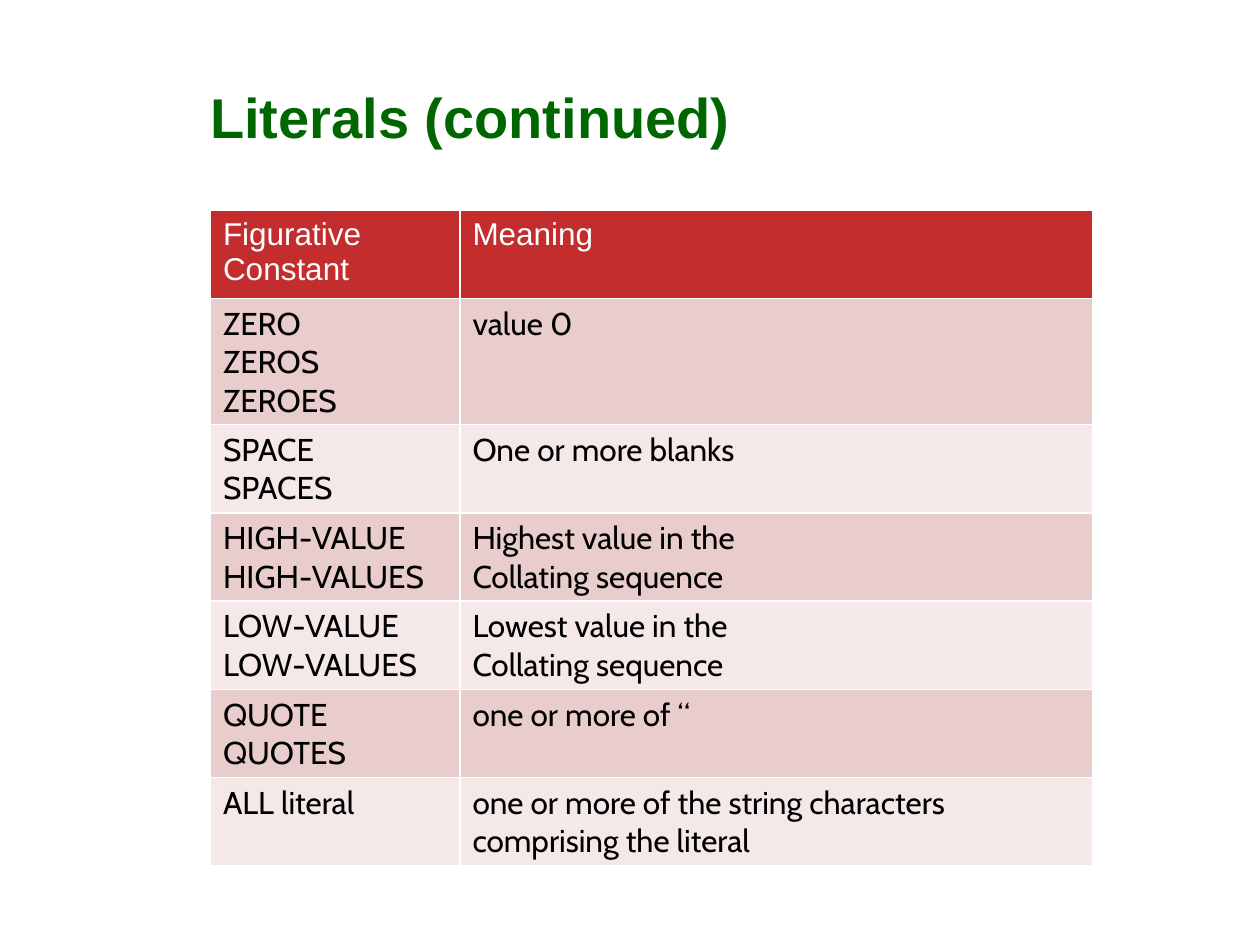
from pptx import Presentation
from pptx.dml.color import RGBColor
from pptx.enum.text import MSO_ANCHOR
from pptx.util import Inches, Pt

TITLE = "Literals (continued)"
ROWS = [
    ("Figurative Constant", "Meaning"),
    ("ZERO\nZEROS\nZEROES", "value 0"),
    ("SPACE\nSPACES", "One or more blanks"),
    ("HIGH-VALUE\nHIGH-VALUES", "Highest value in the\nCollating sequence"),
    ("LOW-VALUE\nLOW-VALUES", "Lowest value in the\nCollating sequence"),
    ("QUOTE\nQUOTES", "one or more of “"),
    ("ALL literal", "one or more of the string characters comprising the literal"),
]
COLUMN_WIDTHS = (1.98, 5.02)
ROW_HEIGHT, TALL_ROW_HEIGHT = 0.7, 1
HEADER_FILL = "C32D2E"
BAND_FILLS = ("F5E8E8", "E9CDCD")


def color(value):
    return RGBColor.from_string(value)


def style_text(frame, font, size, fill, bold=False):
    for para in frame.paragraphs:
        for span in para.runs:
            span.font.name = font
            span.font.size = Pt(size)
            span.font.bold = bold
            span.font.color.rgb = color(fill)


def add_title(page):
    box = page.shapes.add_textbox(Inches(1.57), Inches(0.3), Inches(8.2), Inches(1.25))
    frame = box.text_frame
    frame.word_wrap = True
    frame.vertical_anchor = MSO_ANCHOR.MIDDLE
    frame.text = TITLE
    style_text(frame, "Arial", 32, "006600", bold=True)


def add_constants_table(page):
    heights = [TALL_ROW_HEIGHT if names.count("\n") == 2 else ROW_HEIGHT for names, _ in ROWS]
    table = page.shapes.add_table(
        len(ROWS), len(COLUMN_WIDTHS), Inches(1.67), Inches(1.67),
        Inches(sum(COLUMN_WIDTHS)), Inches(sum(heights)),
    ).table
    for column, width in zip(table.columns, COLUMN_WIDTHS):
        column.width = Inches(width)
    for index, (row, height, texts) in enumerate(zip(table.rows, heights, ROWS)):
        row.height = Inches(height)
        is_header = index == 0
        for cell, text in zip(row.cells, texts):
            cell.fill.solid()
            cell.fill.fore_color.rgb = color(HEADER_FILL if is_header else BAND_FILLS[index % 2])
            cell.text_frame.text = text
            font, ink = ("Arial", "FFFFFF") if is_header else ("Cabin", "000000")
            style_text(cell.text_frame, font, 18, ink)


def main():
    deck = Presentation()
    deck.slide_width, deck.slide_height = Inches(10), Inches(7.5)
    page = deck.slides.add_slide(deck.slide_layouts[6])
    add_title(page)
    add_constants_table(page)
    deck.save("out.pptx")


if __name__ == "__main__":
    main()
